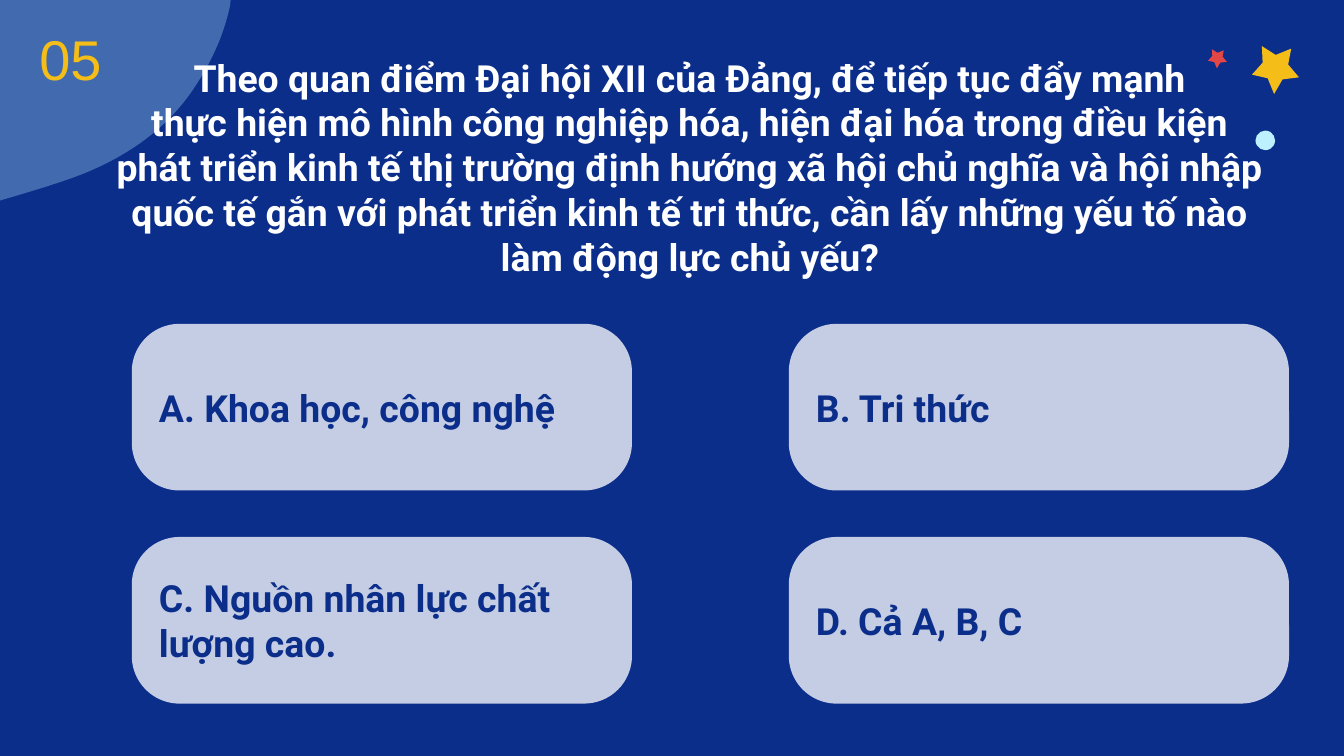
from lxml import etree
from pptx import Presentation
from pptx import util as u
from pptx.dml.color import RGBColor
from pptx.enum import shapes, text
from pptx.oxml.ns import qn

NAVY, WHITE, YELLOW, RED, SKY = "0C2E8B", "FFFFFF", "F4BD18", "E24645", "BDF1FF"
QUESTION = (
    "Theo quan điểm Đại hội XII của Đảng, để tiếp tục đẩy mạnh\v"
    "thực hiện mô hình công nghiệp hóa, hiện đại hóa trong điều kiện\v"
    "phát triển kinh tế thị trường định hướng xã hội chủ nghĩa và hội nhập "
    "quốc tế gắn với phát triển kinh tế tri thức, cần lấy những yếu tố nào "
    "làm động lực chủ yếu?"
)
ANSWERS = [
    "A. Khoa học, công nghệ",
    "B. Tri thức",
    "C. Nguồn nhân lực chất lượng cao.",
    "D. Cả A, B, C",
]
STAR = [(0, 13), (8.3, 16.6), (10.4, 25.2), (16.6, 18.7), (25.2, 19.4),
        (20.9, 11.5), (24.8, 3.6), (16, 5), (9, 0), (8, 8.6)]
BLOB_START = (124.6, -28.8)
BLOB_CURVES = [
    [(125.3, -18), (124.6, -7.2), (123.1, 3.6)],
    [(119.5, 20.2), (112.3, 35.3), (102.2, 49.7)],
    [(87.1, 71.3), (64.8, 85.7), (39.6, 95)],
    [(19.4, 102.2), (-0.7, 107.3), (-20.9, 113.8)],
]


def paint(shape, color, opacity=100):
    shape.shadow.inherit = False
    shape.line.fill.background()
    shape.fill.solid()
    shape.fill.fore_color.rgb = RGBColor.from_string(color)
    if opacity < 100:
        tint = shape.fill._xPr.find(".//" + qn("a:srgbClr"))
        etree.SubElement(tint, qn("a:alpha"), val=str(opacity * 1000))


def write(box, words, color, align, top=7.2, **font):
    """Fill a box with one middle-anchored paragraph."""
    frame = box.text_frame
    layout = dict(word_wrap=True, auto_size=text.MSO_AUTO_SIZE.NONE,
                  vertical_anchor=text.MSO_ANCHOR.MIDDLE, margin_top=u.Pt(top),
                  margin_left=u.Pt(7.2), margin_right=u.Pt(7.2), margin_bottom=u.Pt(7.2))
    for name, value in layout.items():
        setattr(frame, name, value)
    frame.text = words
    para = frame.paragraphs[0]
    para.alignment = align
    for span in para.runs:
        for name, value in font.items():
            setattr(span.font, name, value)
        span.font.color.rgb = RGBColor.from_string(color)


def add_outline(page, points, color, opacity=100):
    corners = [(u.Pt(x), u.Pt(y)) for x, y in points]
    builder = page.shapes.build_freeform(*corners[0], scale=1.0)
    builder.add_line_segments(corners[1:], close=True)
    outline = builder.convert_to_shape()
    paint(outline, color, opacity)
    return outline


def add_star(page, left, top, scale, color):
    points = [(left + x * scale, top + y * scale) for x, y in STAR]
    add_outline(page, points, color).rotation = 276.4


def curve_points(start, curves, steps=16):
    """Sample a chain of cubic Bezier curves."""
    points = [start]
    for first, second, end in curves:
        origin = points[-1]
        for step in range(1, steps + 1):
            t = step / steps
            weights = ((1 - t) ** 3, 3 * t * (1 - t) ** 2, 3 * t * t * (1 - t), t ** 3)
            anchors = (origin, first, second, end)
            points.append(tuple(sum(w * a[axis] for w, a in zip(weights, anchors))
                                for axis in (0, 1)))
    return points


def add_decor(page):
    blob = curve_points(BLOB_START, BLOB_CURVES) + [(-20.9, -28.8)]
    add_outline(page, blob, SKY, 31)
    add_star(page, 671, 25.2, 1, YELLOW)
    add_star(page, 647.3, 26.6, 0.4, RED)
    dot = page.shapes.add_shape(shapes.MSO_SHAPE.OVAL, u.Pt(672.6), u.Pt(70),
                                u.Pt(10.5), u.Pt(10.5))
    paint(dot, SKY)


def add_question(page):
    title = page.shapes.title
    place = dict(left=48.2, top=26.6, width=643, height=101.5)
    for name, value in place.items():
        setattr(title, name, u.Pt(value))
    write(title, QUESTION, WHITE, text.PP_ALIGN.CENTER, top=31.2,
          name="Roboto", size=u.Pt(20), bold=True)
    title.element.getparent().append(title.element)  # in front of the decor


def add_answer(page, index, words):
    row, column = divmod(index, 2)
    card = page.shapes.add_shape(
        shapes.MSO_SHAPE.ROUNDED_RECTANGLE, u.Pt(70.6 + 352 * column),
        u.Pt(173.5 + 114.2 * row), u.Pt(268), u.Pt(89.3))
    card.adjustments[0] = 0.287
    paint(card, WHITE, 76)
    write(card, words, NAVY, text.PP_ALIGN.LEFT,
          name="Roboto", size=u.Pt(20), bold=True)


def add_number(page):
    box = page.shapes.add_textbox(u.Pt(5), u.Pt(15.8), u.Pt(65.5), u.Pt(30.2))
    write(box, "05", YELLOW, text.PP_ALIGN.CENTER, name="Arial", size=u.Pt(30))


def main():
    deck = Presentation()
    deck.slide_width, deck.slide_height = u.Pt(720), u.Pt(405)
    page = deck.slides.add_slide(deck.slide_layouts[5])
    page.background.fill.solid()
    page.background.fill.fore_color.rgb = RGBColor.from_string(NAVY)
    add_decor(page)
    add_question(page)
    for index, words in enumerate(ANSWERS):
        add_answer(page, index, words)
    add_number(page)
    deck.save("out.pptx")


if __name__ == "__main__":
    main()
